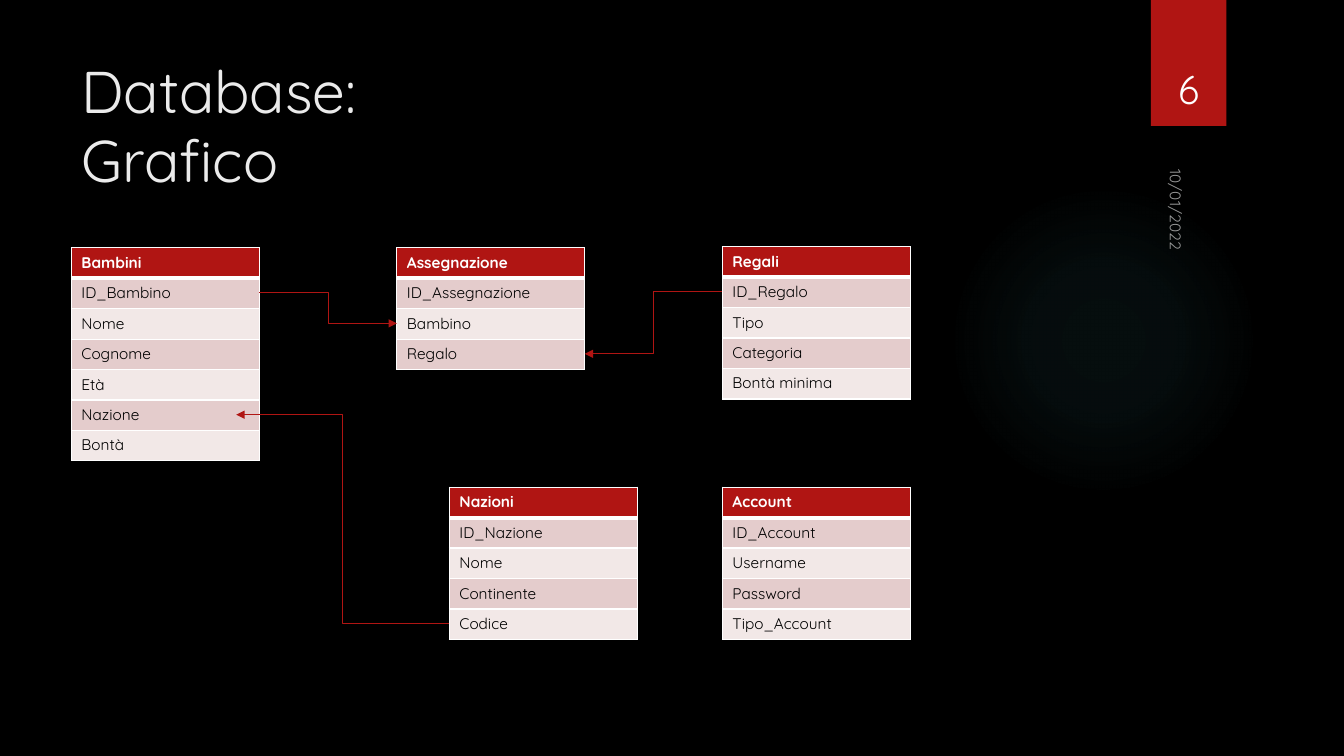
from lxml.etree import SubElement
from pptx import Presentation
from pptx.dml.color import RGBColor
from pptx.enum.shapes import MSO_CONNECTOR, MSO_SHAPE
from pptx.enum.text import MSO_ANCHOR, MSO_AUTO_SIZE, PP_ALIGN
from pptx.oxml import parse_xml
from pptx.oxml.ns import nsdecls, qn
from pptx.util import Emu, Pt

FONT = "Quicksand"
COLORS = {"back": "000000", "red": "B01513", "glow": "50B9C1", "title": "EBEBEB",
          "white": "FFFFFF", "text": "000000", "odd": "E4CCCC", "even": "F2E8E7"}
ROW_H, TABLE_W = 29, 179

# Name: (left, top, fields)
TABLES = {
    "Bambini": (68, 236, ["ID_Bambino", "Nome", "Cognome", "Età", "Nazione", "Bontà"]),
    "Assegnazione": (378, 236, ["ID_Assegnazione", "Bambino", "Regalo"]),
    "Regali": (688, 235, ["ID_Regalo", "Tipo", "Categoria", "Bontà minima"]),
    "Nazioni": (428, 464, ["ID_Nazione", "Nome", "Continente", "Codice"]),
    "Account": (688, 464, ["ID_Account", "Username", "Password", "Tipo_Account"]),
}
# (table, field, offset from the table's left) at each end
LINKS = [
    (("Regali", "ID_Regalo", 0), ("Assegnazione", "Regalo", TABLE_W)),
    (("Bambini", "ID_Bambino", TABLE_W), ("Assegnazione", "Bambino", 0)),
    (("Nazioni", "Codice", 0), ("Bambini", "Nazione", TABLE_W - 22)),
]


def px(n):
    return Emu(n * 9525)


def rgb(name):
    return RGBColor.from_string(COLORS[name])


def set_font(p, size, color, bold=False):
    p.font.name, p.font.size, p.font.bold = FONT, Pt(size), bold
    p.font.color.rgb = rgb(color)


def add_shape(slide, kind, x, y, w, h):
    sp = slide.shapes.add_shape(kind, px(x), px(y), px(w), px(h))
    sp.shadow.inherit = False
    sp.line.fill.background()
    return sp


def add_text(slide, text, x, y, w, h, size, anchor):
    sp = slide.shapes.add_textbox(px(x), px(y), px(w), px(h))
    tf = sp.text_frame
    tf.word_wrap, tf.vertical_anchor = True, anchor
    p = tf.paragraphs[0]
    p.text = text
    set_font(p, size, "white")
    return sp, p


def add_glow(slide, x, y, size):
    sp = add_shape(slide, MSO_SHAPE.OVAL, x, y, size, size)
    stops = "".join(
        f'<a:gs pos="{pos * 1000}"><a:srgbClr val="{COLORS["glow"]}">'
        f'<a:alpha val="{alpha * 1000}"/></a:srgbClr></a:gs>'
        for pos, alpha in [(0, 7), (36, 6), (69, 0)])
    grad = parse_xml(
        f'<a:gradFill {nsdecls("a")}><a:gsLst>{stops}</a:gsLst><a:path path="circle">'
        '<a:fillToRect l="50000" t="50000" r="50000" b="50000"/></a:path></a:gradFill>')
    sp._element.spPr.find(qn("a:prstGeom")).addnext(grad)


def add_page_tab(slide, x, y, w, h):
    sp = add_shape(slide, MSO_SHAPE.RECTANGLE, x, y, w, h)
    sp.fill.solid()
    sp.fill.fore_color.rgb = rgb("red")
    # Page number
    _, p = add_text(slide, "6", x - 8, y + 31, w + 16, 81, 28, MSO_ANCHOR.BOTTOM)
    p.alignment = PP_ALIGN.CENTER
    # Turned date below the tab
    sp, p = add_text(slide, "10/01/2022", x - 28, y + h + 68, 104, 32, 11, MSO_ANCHOR.MIDDLE)
    sp.rotation = 90
    for clr in p._p.iter(qn("a:srgbClr")):
        SubElement(clr, qn("a:alpha"), val="60000")


def add_title(slide, lines, x, y, w, h):
    sp = slide.shapes.title
    sp.left, sp.top, sp.width, sp.height = px(x), px(y), px(w), px(h)
    tf = sp.text_frame
    tf.word_wrap, tf.auto_size = True, MSO_AUTO_SIZE.NONE
    tf.vertical_anchor = MSO_ANCHOR.MIDDLE
    p = tf.paragraphs[0]
    for i, line in enumerate(lines):
        if i:
            p.add_line_break()
        p.add_run().text = line
    p.alignment, p.line_spacing = PP_ALIGN.LEFT, 0.97
    set_font(p, 42, "title")


def set_borders(cell, top, bottom):
    tcPr = cell._tc.get_or_add_tcPr()
    for side, width in [("L", 1), ("R", 1), ("T", top), ("B", bottom)]:
        tcPr.append(parse_xml(
            f'<a:ln{side} {nsdecls("a")} w="{Pt(width)}"><a:solidFill>'
            f'<a:srgbClr val="{COLORS["white"]}"/></a:solidFill></a:ln{side}>'))


def add_entity(slide, name, x, y, fields):
    rows = [name] + fields
    table = slide.shapes.add_table(len(rows), 1, px(x), px(y), px(TABLE_W),
                                   px(ROW_H * len(rows))).table
    table.horz_banding = False
    for i, text in enumerate(rows):
        table.rows[i].height = px(ROW_H)
        cell = table.cell(i, 0)
        set_borders(cell, 3 if i == 1 else 1, 3 if i == 0 else 1)
        cell.fill.solid()
        cell.fill.fore_color.rgb = rgb("red" if i == 0 else "odd" if i % 2 else "even")
        p = cell.text_frame.paragraphs[0]
        p.text = text
        set_font(p, 11, "text" if i else "white", bold=i == 0)


def field_point(name, field, offset):
    x, y, fields = TABLES[name]
    return px(x + offset), px(y + ROW_H * (fields.index(field) + 1) + ROW_H // 2)


def add_link(slide, start, end):
    cxn = slide.shapes.add_connector(MSO_CONNECTOR.ELBOW, *field_point(*start),
                                     *field_point(*end))
    cxn.line.width = Pt(0.75)
    cxn.line.color.rgb = rgb("red")
    SubElement(cxn.line._get_or_add_ln(), qn("a:tailEnd"), type="triangle")
    SubElement(cxn._element.spPr, qn("a:effectLst"))


def main():
    prs = Presentation()
    prs.slide_width, prs.slide_height = px(1280), px(720)
    slide = prs.slides.add_slide(prs.slide_layouts[5])
    slide.background.fill.solid()
    slide.background.fill.fore_color.rgb = rgb("back")

    # Backdrop and heading
    add_glow(slide, 903, 176, 296)
    add_page_tab(slide, 1096, 0, 72, 120)
    add_title(slide, ["Database:", "Grafico"], 68, 48, 988, 147)

    # Database diagram
    for name, (x, y, fields) in TABLES.items():
        add_entity(slide, name, x, y, fields)
    for start, end in LINKS:
        add_link(slide, start, end)

    prs.save("out.pptx")


if __name__ == "__main__":
    main()
